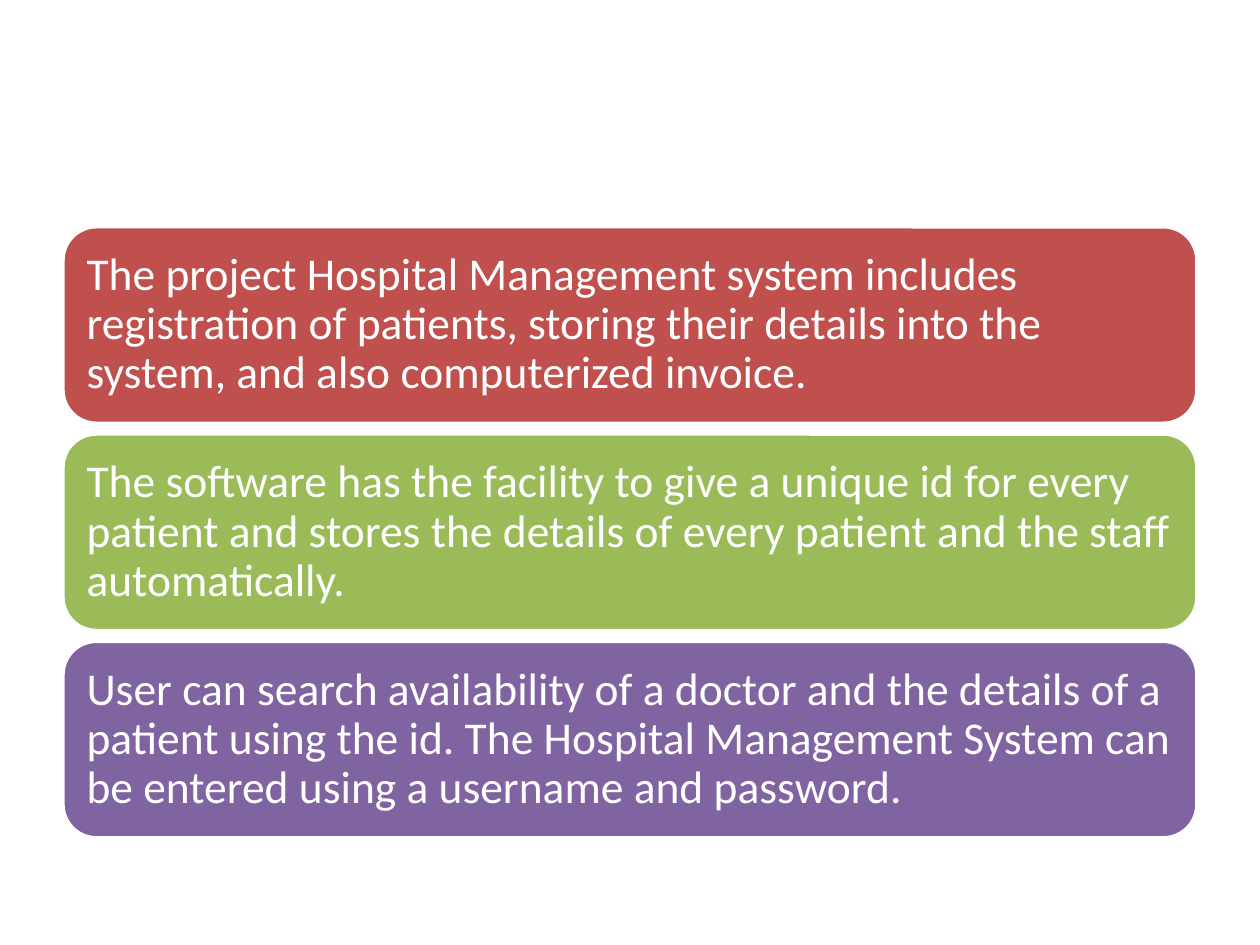
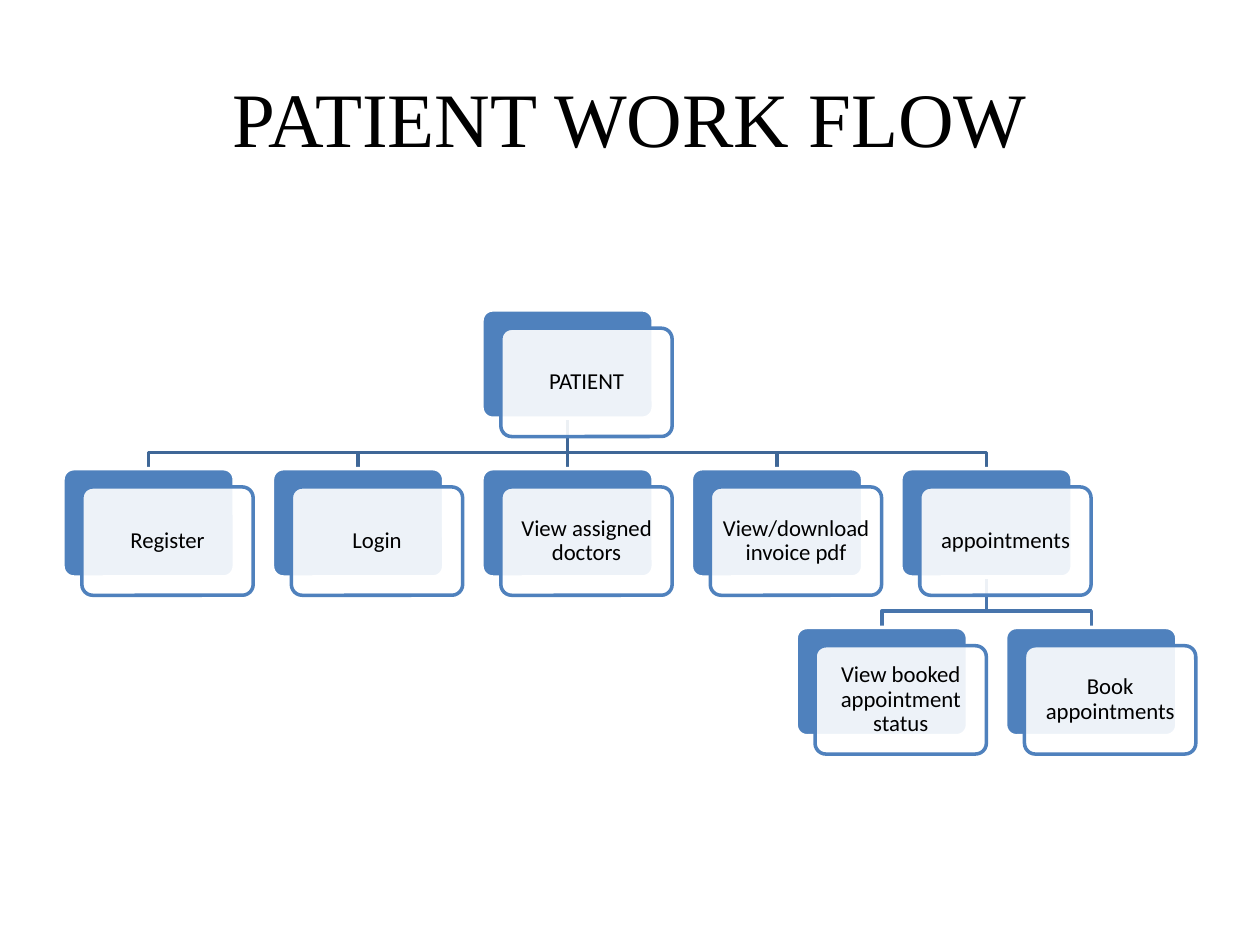
import pptx
import pptx.dml.color
import pptx.enum.shapes
import pptx.enum.text
import pptx.oxml.ns
import pptx.util
import lxml.etree

Inches = pptx.util.Inches
Pt = pptx.util.Pt
RGBColor = pptx.dml.color.RGBColor
MSO_SHAPE = pptx.enum.shapes.MSO_SHAPE
MSO_CONNECTOR = pptx.enum.shapes.MSO_CONNECTOR
PP_ALIGN = pptx.enum.text.PP_ALIGN
MSO_ANCHOR = pptx.enum.text.MSO_ANCHOR
qn = pptx.oxml.ns.qn

COLORS = {
    "white": "FFFFFF",
    "black": "000000",
    "red": "C0504D",
    "green": "9BBB59",
    "purple": "8064A2",
    "blue": "4F81BD",
    "main_branch": "3F6797",
    "sub_branch": "4875AC",
}


def color(name):
    return RGBColor.from_string(COLORS[name])


def add_card(slide, left, top, width, height, fill, line, corner):
    shape = slide.shapes.add_shape(
        MSO_SHAPE.ROUNDED_RECTANGLE,
        Inches(left), Inches(top), Inches(width), Inches(height))
    shape.adjustments[0] = corner
    shape.shadow.inherit = False
    shape.fill.solid()
    shape.fill.fore_color.rgb = color(fill)
    shape.line.color.rgb = color(line)
    shape.line.width = Pt(2)
    return shape


def write_text(shape, text, margin, alignment, font_format):
    frame = shape.text_frame
    frame.word_wrap = True
    frame.vertical_anchor = MSO_ANCHOR.MIDDLE
    for side in ("left", "top", "right", "bottom"):
        setattr(frame, f"margin_{side}", Inches(margin))
    paragraph = frame.paragraphs[0]
    paragraph.text = text
    paragraph.alignment = alignment
    paragraph.line_spacing = 0.9
    for name, value in font_format.items():
        setattr(paragraph.font, name, value)
    paragraph.font.color.rgb = color("black" if alignment == PP_ALIGN.CENTER else "white")


presentation = pptx.Presentation()
presentation.slide_width = Inches(10)
presentation.slide_height = Inches(7.5)

# Project summary
summary_slide = presentation.slides.add_slide(presentation.slide_layouts[6])
summaries = [
    ("red", "The project Hospital Management system includes registration of patients, "
            "storing their details into the system, and also computerized invoice."),
    ("green", "The software has the facility to give a unique id for every patient "
              "and stores the details of every patient and the staff automatically."),
    ("purple", "User can search availability of a doctor and the details of a patient "
               "using the id. The Hospital Management System can be entered using "
               "a username and password."),
]
for index, (fill, text) in enumerate(summaries):
    panel = add_card(summary_slide, 0.5, 1.8 + index * 1.645, 9, 1.56, fill, "white", 0.17)
    write_text(panel, text, 0.11, PP_ALIGN.LEFT, {"name": "Calibri", "size": Pt(26)})

# Patient work flow
flow_slide = presentation.slides.add_slide(presentation.slide_layouts[5])
title = flow_slide.shapes.title
title_format = {"left": 0.5, "top": 0.3, "width": 9, "height": 1.25}
for name, value in title_format.items():
    setattr(title, name, Inches(value))
title.text_frame.text = "PATIENT WORK FLOW"
title.text_frame.vertical_anchor = MSO_ANCHOR.MIDDLE
title_paragraph = title.text_frame.paragraphs[0]
title_paragraph.alignment = PP_ALIGN.CENTER
for name, value in {"name": "Times New Roman", "size": Pt(44)}.items():
    setattr(title_paragraph.font, name, value)
title_paragraph.font.color.rgb = color("black")

CARD_WIDTH, CARD_HEIGHT = 1.36, 0.86
CHART_LEFT, CHART_TOP = 0.5, 2.46
COLUMN_STEP, LEVEL_STEP = 6.65 / 4, 1.26
BEND = 0.27

# Column, level and label of each step
steps = [
    (2, 0, "PATIENT"),
    (0, 1, "Register"),
    (1, 1, "Login"),
    (2, 1, "View assigned doctors"),
    (3, 1, "View/download invoice pdf"),
    (4, 1, "appointments"),
    (3.5, 2, "View booked appointment status"),
    (4.5, 2, "Book appointments"),
]
# Parent column, parent level, child columns and line color
branches = [
    (4, 1, (4.5, 3.5), "sub_branch"),
    (2, 0, (4, 3, 2, 1, 0), "main_branch"),
]

for parent_column, level, child_columns, line_color in branches:
    center = CHART_LEFT + CARD_WIDTH / 2
    start_x = center + parent_column * COLUMN_STEP
    start_y = CHART_TOP + level * LEVEL_STEP + CARD_HEIGHT
    end_y = CHART_TOP + (level + 1) * LEVEL_STEP
    for child_column in child_columns:
        end_x = center + child_column * COLUMN_STEP
        if child_column == parent_column:
            branch = flow_slide.shapes.add_connector(
                MSO_CONNECTOR.STRAIGHT,
                Inches(start_x), Inches(start_y), Inches(end_x), Inches(end_y))
            lxml.etree.SubElement(branch._element.spPr, qn("a:effectLst"))
        else:
            builder = flow_slide.shapes.build_freeform(
                Inches(start_x), Inches(start_y))
            bend_y = start_y + BEND
            corners = [(start_x, bend_y), (end_x, bend_y), (end_x, end_y)]
            builder.add_line_segments(
                [(Inches(x), Inches(y)) for x, y in corners], close=False)
            branch = builder.convert_to_shape()
            branch.fill.background()
            branch.shadow.inherit = False
        branch.line.color.rgb = color(line_color)
        branch.line.width = Pt(2)

for column, level, label in steps:
    left = CHART_LEFT + column * COLUMN_STEP
    top = CHART_TOP + level * LEVEL_STEP
    add_card(flow_slide, left, top, CARD_WIDTH, CARD_HEIGHT, "blue", "white", 0.1)
    front = add_card(flow_slide, left + 0.15, top + 0.145, CARD_WIDTH, CARD_HEIGHT,
                     "white", "blue", 0.1)
    fill_color = front._element.spPr.find(qn("a:solidFill")).find(qn("a:srgbClr"))
    lxml.etree.SubElement(fill_color, qn("a:alpha"), val="90000")
    write_text(front, label, 0.05, PP_ALIGN.CENTER, {"name": "Calibri", "size": Pt(13)})

presentation.save("out.pptx")
